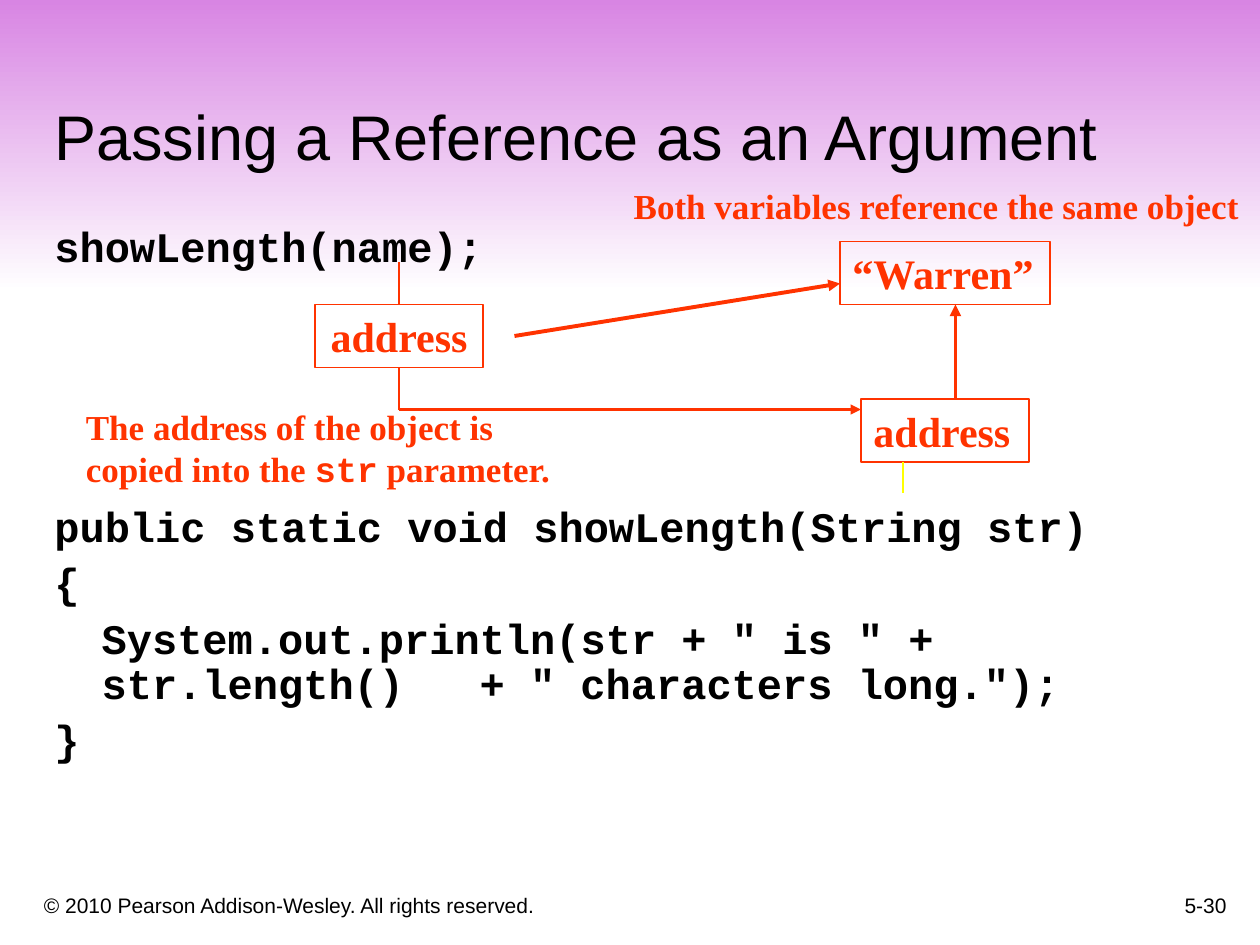
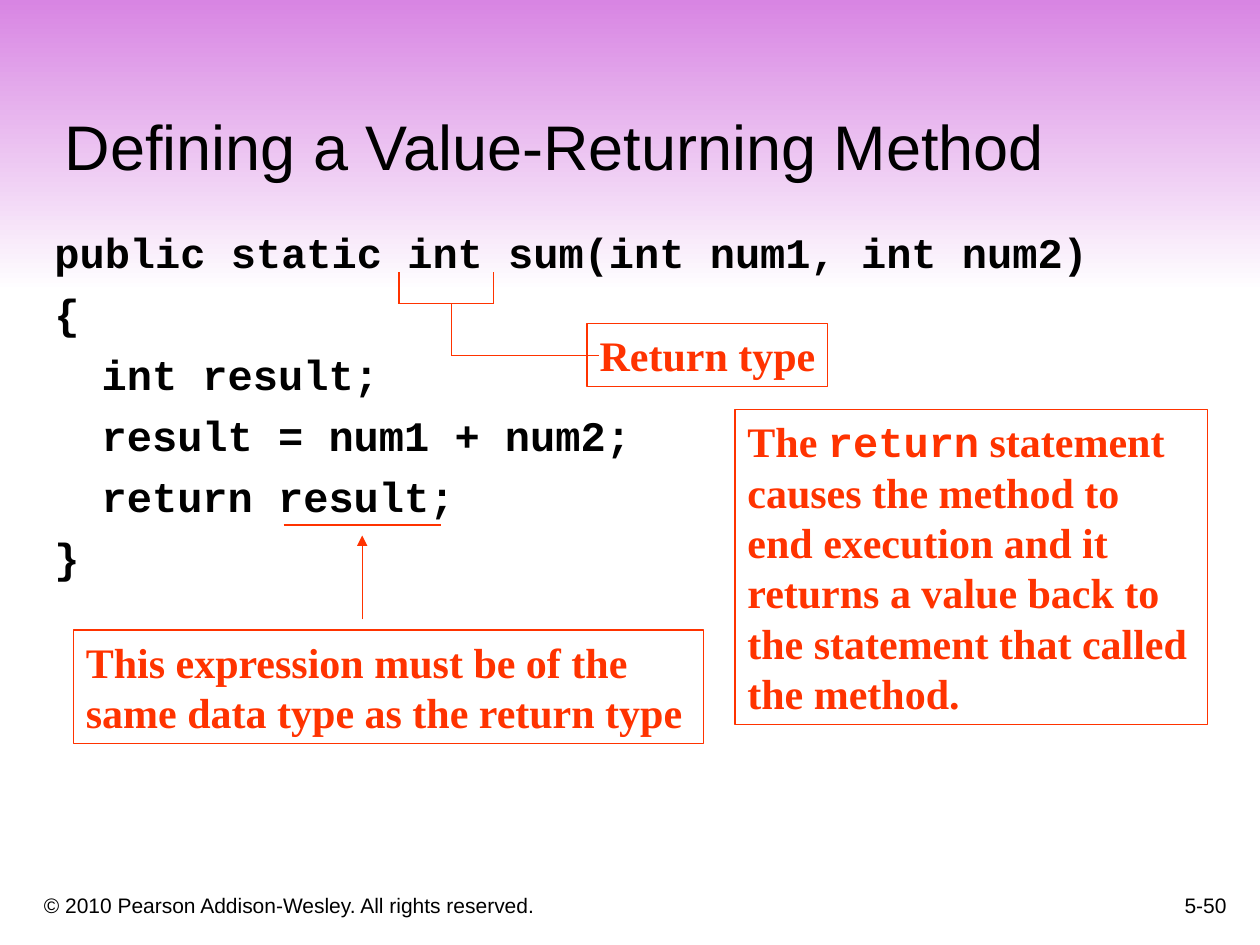
from typing import NamedTuple

from lxml.etree import SubElement
from pptx import Presentation
from pptx.dml.color import RGBColor
from pptx.enum.shapes import MSO_CONNECTOR, MSO_SHAPE
from pptx.enum.text import MSO_ANCHOR, PP_ALIGN
from pptx.oxml.ns import qn
from pptx.slide import Slide
from pptx.util import Pt

RED = RGBColor(0xFF, 0x33, 0x00)
YELLOW = RGBColor(0xFF, 0xFF, 0x00)
BLACK = RGBColor(0x00, 0x00, 0x00)
VIOLET = RGBColor(0xD8, 0x85, 0xE3)
WHITE = RGBColor(0xFF, 0xFF, 0xFF)

SANS = "Arial"
SERIF = "Times New Roman"
MONO = "Courier New"
RIGHTS = "© 2010 Pearson Addison-Wesley. All rights reserved."
HANG = Pt(27)
TAB_STEP = Pt(72)


class Area(NamedTuple):
    """A place on the slide, in points."""

    left: float
    top: float
    width: float
    height: float


class Note(NamedTuple):
    """A red remark, with words between bars set as code."""

    text: str
    area: Area
    size: float = 24
    framed: bool = True
    wrap: bool = True
    align: PP_ALIGN = PP_ALIGN.LEFT


class Wire(NamedTuple):
    """A straight line from one point to another."""

    x1: float
    y1: float
    x2: float
    y2: float
    weight: float = 0.75
    arrow: bool = False
    color: RGBColor = RED


class Code(NamedTuple):
    """A line of code and the space above it."""

    text: str
    above: float = 6


class Page(NamedTuple):
    """The content of one slide."""

    title: str
    spot: Area
    number: str
    pitch: float
    code: list[Code]
    notes: list[Note]
    wires: list[Wire]


def write(slide: Slide, lines: list[Code], area: Area, *, font: str = SANS,
          size: float = 12, color: RGBColor = BLACK, bold: bool = False,
          align: PP_ALIGN = PP_ALIGN.LEFT, anchor: MSO_ANCHOR = MSO_ANCHOR.TOP,
          wrap: bool = True, framed: bool = False, hang: bool = False,
          pitch: float = 1) -> None:
    """Set lines of text in a plain or framed box."""
    place = [Pt(n) for n in area]
    if framed:
        box = slide.shapes.add_shape(MSO_SHAPE.RECTANGLE, *place)
        box.shadow.inherit = False
        box.fill.background()
        box.line.color.rgb = color
        box.line.width = Pt(0.75)
    else:
        box = slide.shapes.add_textbox(*place)
    frame = box.text_frame
    frame.word_wrap = wrap
    frame.vertical_anchor = anchor
    for i, line in enumerate(lines):
        para = frame.add_paragraph() if i else frame.paragraphs[0]
        para.alignment = align
        para.line_spacing = pitch
        para.space_before = Pt(line.above if i else 0)
        if hang:
            indent(para)
        for j, part in enumerate(line.text.split("|")):
            run = para.add_run()
            run.text = part
            run.font.name = MONO if j % 2 else font
            run.font.size = Pt(size)
            run.font.bold = bold
            run.font.color.rgb = color


def indent(para) -> None:
    """Give a paragraph a hanging indent and even tab stops."""
    props = para._p.get_or_add_pPr()
    props.set("marL", str(HANG))
    props.set("indent", str(-HANG))
    stops = SubElement(props, qn("a:tabLst"))
    for i in range(8):
        SubElement(stops, qn("a:tab"), pos=str(i * TAB_STEP), algn="l")


def draw(slide: Slide, wire: Wire) -> None:
    """Draw a wire, with an arrowhead at its end if asked."""
    ends = [Pt(n) for n in wire[:4]]
    link = slide.shapes.add_connector(MSO_CONNECTOR.STRAIGHT, *ends)
    link.line.color.rgb = wire.color
    link.line.width = Pt(wire.weight)
    props = link._element.spPr
    if wire.arrow:
        SubElement(props.find(qn("a:ln")), qn("a:tailEnd"), type="triangle")
    SubElement(props, qn("a:effectLst"))


def dress(slide: Slide, number: str) -> None:
    """Add the band and footers that all slides share."""
    band = slide.shapes.add_shape(MSO_SHAPE.RECTANGLE, 0, 0, Pt(720), Pt(167))
    band.shadow.inherit = False
    band.line.fill.background()
    band.fill.gradient()
    band.fill.gradient_angle = 270
    for stop, color in zip(band.fill.gradient_stops, (VIOLET, WHITE)):
        stop.color.rgb = color
    write(slide, [Code(RIGHTS)], Area(18, 498, 438, 30),
          anchor=MSO_ANCHOR.BOTTOM)
    write(slide, [Code(number)], Area(558, 492, 150, 36),
          anchor=MSO_ANCHOR.BOTTOM, align=PP_ALIGN.RIGHT)


def build(slide: Slide, page: Page) -> None:
    """Fill a slide from its page."""
    dress(slide, page.number)
    write(slide, [Code(page.title)], page.spot, size=36,
          anchor=MSO_ANCHOR.BOTTOM)
    write(slide, page.code, Area(24, 126, 653, 360), font=MONO, size=24,
          bold=True, hang=True, pitch=page.pitch)
    for note in page.notes:
        write(slide, [Code(note.text)], note.area, font=SERIF, size=note.size,
              color=RED, bold=True, align=note.align, wrap=note.wrap,
              framed=note.framed)
    for wire in page.wires:
        draw(slide, wire)


PAGES = [
    Page(
        "Passing a Reference as an Argument", Area(24, 24, 678, 78.5),
        "5-30", 0.9,
        [
            Code("showLength(name);"),
            Code("public static void showLength(String str)", 134),
            Code("{"),
            Code('\tSystem.out.println(str + " is " + \tstr.length() '
                 '\t+ " characters long.");'),
            Code("}"),
        ],
        [
            Note("address", Area(180, 174, 96, 36), align=PP_ALIGN.CENTER),
            Note("address", Area(492, 228, 96, 36)),
            Note("“Warren”", Area(480, 138, 120, 36)),
            Note("Both variables reference the same object",
                 Area(355, 102, 361, 32), 20, framed=False, wrap=False),
            Note("The address of the object is copied into the |str| parameter.",
                 Area(42, 228, 288, 56), 20, framed=False),
        ],
        [
            Wire(228, 150, 228, 174, 1.5),
            Wire(228, 210, 228, 234, 1.5),
            Wire(228, 234, 492, 234, 1.5, True),
            Wire(294, 192, 480, 162, 2.25, True),
            Wire(516, 264, 516, 282, 1.5, color=YELLOW),
            Wire(546, 228, 546, 174, 2.25, True),
        ],
    ),
    Page(
        "Defining a Value-Returning Method", Area(30, 18, 612, 90),
        "5-50", 1,
        [
            Code("public static int sum(int num1, int num2)"),
            Code("{"),
            Code("\tint result;"),
            Code("\tresult = num1 + num2;"),
            Code("\treturn result;"),
            Code("}"),
        ],
        [
            Note("Return type", Area(335.5, 185, 137.5, 36), wrap=False,
                 align=PP_ALIGN.CENTER),
            Note("This expression must be of the same data type as the "
                 "return type", Area(42, 360, 360, 65)),
            Note("The |return| statement causes the method to end execution "
                 "and it returns a value back to the statement that called "
                 "the method.", Area(420, 234, 270, 180)),
        ],
        [
            Wire(162, 300, 252, 300),
            Wire(207, 354, 207, 306, arrow=True),
            Wire(228, 155.5, 228, 173.5),
            Wire(228, 173.5, 282, 173.5),
            Wire(282, 173.5, 282, 155.5),
            Wire(258, 173.5, 258, 203),
            Wire(258, 203, 342, 203),
        ],
    ),
]


def main() -> None:
    """Build the deck and save it."""
    deck = Presentation()
    deck.slide_width, deck.slide_height = Pt(720), Pt(540)
    for page in PAGES:
        build(deck.slides.add_slide(deck.slide_layouts[6]), page)
    deck.save("out.pptx")


if __name__ == "__main__":
    main()
